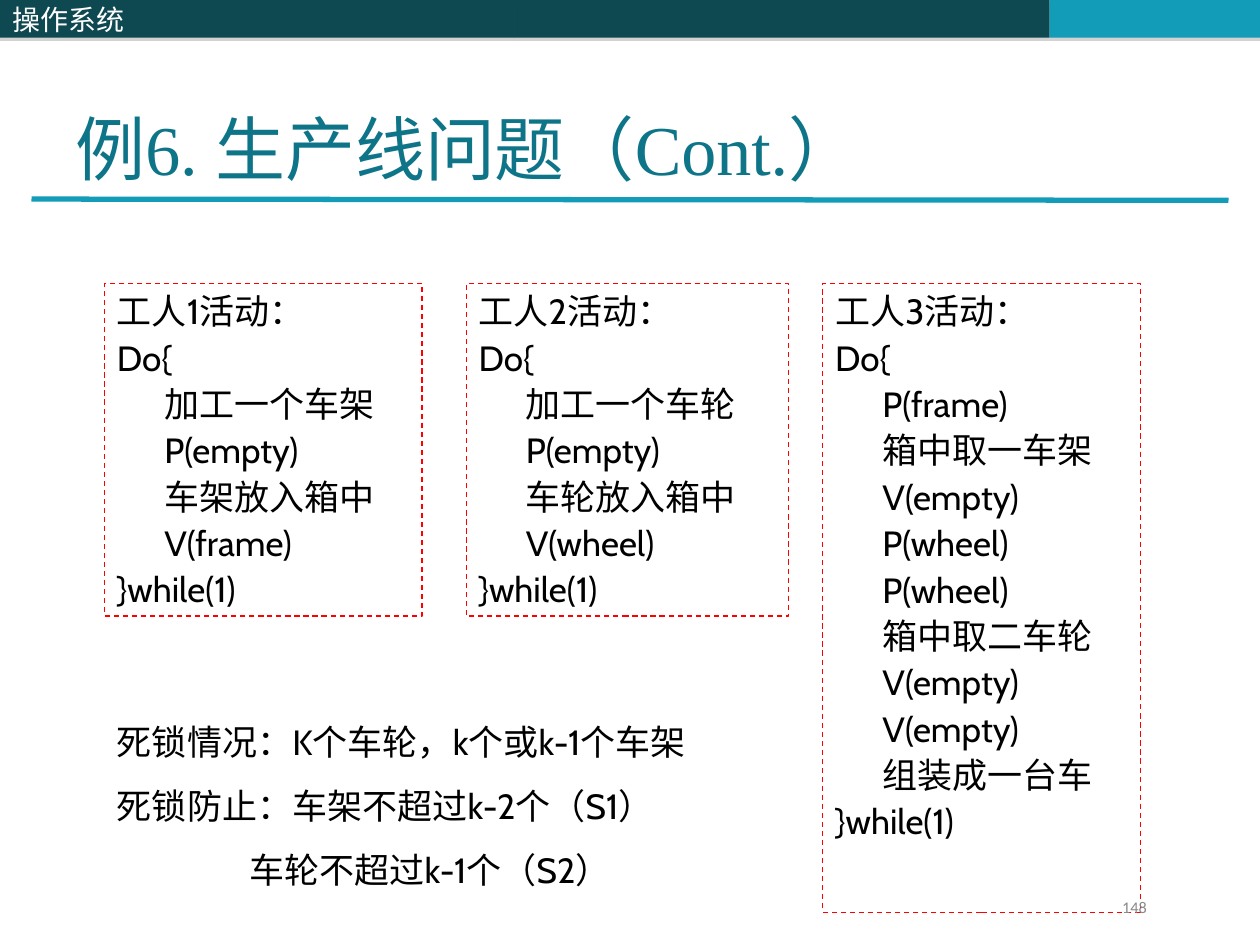
from lxml import etree
from pptx import Presentation
from pptx.dml.color import RGBColor
from pptx.enum.dml import MSO_LINE
from pptx.enum.shapes import MSO_CONNECTOR, MSO_SHAPE
from pptx.enum.text import MSO_ANCHOR, PP_ALIGN
from pptx.oxml import parse_xml
from pptx.oxml.ns import nsdecls, qn
from pptx.util import Inches, Pt

RECTANGLE = MSO_SHAPE.RECTANGLE
STRAIGHT = MSO_CONNECTOR.STRAIGHT
DASH = MSO_LINE.DASH
TOP, MIDDLE, BOTTOM = MSO_ANCHOR.TOP, MSO_ANCHOR.MIDDLE, MSO_ANCHOR.BOTTOM
LEFT, RIGHT = PP_ALIGN.LEFT, PP_ALIGN.RIGHT

COLORS = {
    "dark": "0E4851",
    "accent": "139CB7",
    "title": "0E7589",
    "border": "FF0000",
    "text": "000000",
    "white": "FFFFFF",
    "number": "898989",
    "shadow": "808080",
}
CJK_FONT = "Noto Sans CJK SC"
BODY_FONT = "Cabin"
INDENT = " " * 6

# left, width, height, worker number, steps inside the loop
WORKERS = [
    (0.83, 2.52, 2.64, 1, ["加工一个车架", "P(empty)", "车架放入箱中", "V(frame)"]),
    (3.7, 2.56, 2.64, 2, ["加工一个车轮", "P(empty)", "车轮放入箱中", "V(wheel)"]),
    (6.53, 2.52, 4.99, 3, ["P(frame)", "箱中取一车架", "V(empty)", "P(wheel)",
                           "P(wheel)", "箱中取二车轮", "V(empty)", "V(empty)",
                           "组装成一台车"]),
]
DEADLOCK_NOTES = [
    "死锁情况：K个车轮，k个或k-1个车架",
    "死锁防止：车架不超过k-2个（S1）",
    "车轮不超过k-1个（S2）",
]


def color(name):
    return RGBColor.from_string(COLORS[name])


def write_lines(shape, lines, font, size, color_name, anchor=TOP, align=LEFT, gap=0):
    """Fill a shape with one paragraph per line, gap points apart."""
    text_frame = shape.text_frame
    text_frame.word_wrap = True
    text_frame.vertical_anchor = anchor
    text_frame.text = "\n".join(lines)
    for index, paragraph in enumerate(text_frame.paragraphs):
        paragraph.alignment = align
        paragraph.space_before = Pt(gap if index else 0)
        for run in paragraph.runs:
            run.font.name = font
            run.font.size = Pt(size)
            run.font.color.rgb = color(color_name)
            east_asian = etree.SubElement(run.font._element, qn("a:ea"))
            east_asian.set("typeface", CJK_FONT)
    return text_frame


def add_text(slide, left, top, width, height, lines, *style, **options):
    box = slide.shapes.add_textbox(
        Inches(left), Inches(top), Inches(width), Inches(height))
    return write_lines(box, lines, *style, **options)


def add_rectangle(slide, left, top, width, height):
    shape = slide.shapes.add_shape(
        RECTANGLE, Inches(left), Inches(top), Inches(width), Inches(height))
    shape.shadow.inherit = False
    return shape


def add_header_bar(slide, left, width, color_name):
    """Add a borderless bar with a thin shadow below it."""
    bar = add_rectangle(slide, left, 0, width, 0.3)
    bar.fill.solid()
    bar.fill.fore_color.rgb = color(color_name)
    bar.line.fill.background()
    bar._element.spPr.find(qn("a:effectLst")).append(parse_xml(
        f'<a:outerShdw {nsdecls("a")} blurRad="0" dist="{Pt(1.8)}" dir="5400000">'
        f'<a:srgbClr val="{COLORS["shadow"]}"><a:alpha val="35000"/></a:srgbClr>'
        '</a:outerShdw>'))
    return bar


def add_title_rule(slide):
    rule = slide.shapes.add_connector(
        STRAIGHT, Inches(0.25), Inches(1.58), Inches(9.75), Inches(1.59))
    rule.line.color.rgb = color("accent")
    rule.line.width = Pt(3)
    etree.SubElement(rule._element.spPr, qn("a:effectLst"))


def add_worker_box(slide, left, width, height, number, steps):
    box = add_rectangle(slide, left, 2.25, width, height)
    box.fill.background()
    box.line.color.rgb = color("border")
    box.line.width = Pt(0.75)
    box.line.dash_style = DASH
    lines = [f"工人{number}活动：", "Do{", *(INDENT + step for step in steps), "}while(1)"]
    write_lines(box, lines, BODY_FONT, 20, "text", gap=2.5)


def add_deadlock_notes(slide):
    text_frame = add_text(slide, 0.83, 5.67, 5.04, 2.29, DEADLOCK_NOTES,
                          BODY_FONT, 20, "text", gap=12.5)
    properties = text_frame.paragraphs[-1]._p.get_or_add_pPr()
    properties.set("marL", str(Inches(1.05)))


def main():
    presentation = Presentation()
    presentation.slide_width = Inches(10)
    presentation.slide_height = Inches(7.5)
    slide = presentation.slides.add_slide(presentation.slide_layouts[6])

    add_header_bar(slide, 4.08, 4.25, "dark")
    add_header_bar(slide, 8.33, 1.67, "accent")
    add_title_rule(slide)
    course_bar = add_header_bar(slide, 0, 4.08, "dark")
    write_lines(course_bar, ["操作系统"], CJK_FONT, 16, "white", anchor=MIDDLE)

    add_text(slide, 0.5, 0.3, 9, 1.25, ["例6. 生产线问题（Cont.）"],
             "Times New Roman", 40, "title", anchor=BOTTOM)
    for worker in WORKERS:
        add_worker_box(slide, *worker)
    add_deadlock_notes(slide)
    page_number = add_text(slide, 7.5, 7.1, 1.7, 0.27, ["148"],
                           "Calibri", 9.3, "number", align=RIGHT)
    page_number.paragraphs[0].line_spacing = 0.8

    presentation.save("out.pptx")


if __name__ == "__main__":
    main()
